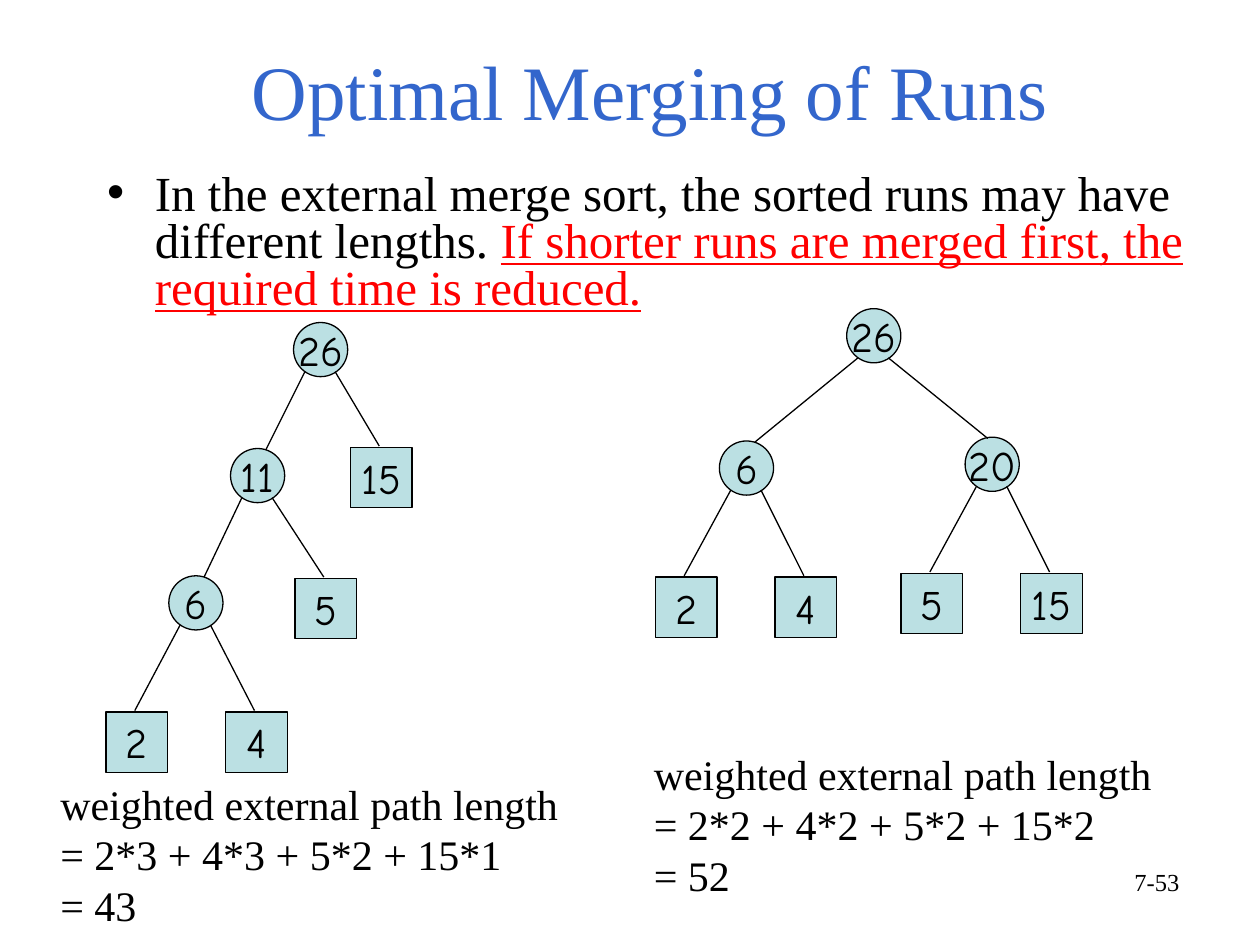
from dataclasses import dataclass
from typing import Optional

from lxml.etree import SubElement
from pptx import Presentation
from pptx.dml.color import RGBColor
from pptx.enum.shapes import MSO_CONNECTOR, MSO_SHAPE
from pptx.enum.text import MSO_ANCHOR, MSO_AUTO_SIZE, PP_ALIGN
from pptx.oxml.ns import qn
from pptx.util import Inches, Pt


@dataclass(frozen=True)
class Theme:
    serif: str = "Times New Roman"
    node_font: str = "Comic Neue"
    black: RGBColor = RGBColor(0x00, 0x00, 0x00)
    blue: RGBColor = RGBColor(0x33, 0x66, 0xCC)
    red: RGBColor = RGBColor(0xFF, 0x00, 0x00)
    node_fill: RGBColor = RGBColor(0xBB, 0xE0, 0xE3)
    title_size: float = 44
    body_size: float = 28
    text_size: float = 24
    number_size: float = 14
    line_width: float = 0.75


@dataclass(frozen=True)
class Node:
    """A merged run with two children, or a single run without any."""
    weight: int
    left: float
    top: float
    first: Optional["Node"] = None
    second: Optional["Node"] = None

    @property
    def is_leaf(self) -> bool:
        return self.first is None


@dataclass(frozen=True)
class Note:
    text: str
    left: float
    top: float
    width: float
    height: float
    size: float
    align: PP_ALIGN = PP_ALIGN.LEFT


THEME = Theme()
CIRCLE = 0.43
LEAF_WIDTH, LEAF_HEIGHT = 0.49, 0.48

SKEWED_TREE = Node(
    26, 2.33, 2.56,
    Node(11, 1.83, 3.56,
         Node(6, 1.34, 4.57, Node(2, 0.84, 5.65), Node(4, 1.79, 5.65)),
         Node(5, 2.34, 4.59)),
    Node(15, 2.78, 3.55))
BALANCED_TREE = Node(
    26, 6.72, 2.45,
    Node(6, 5.71, 3.5, Node(2, 5.2, 4.58), Node(4, 6.15, 4.58)),
    Node(20, 7.66, 3.47, Node(5, 7.15, 4.55), Node(15, 8.1, 4.55)))

NOTES = (
    Note("weighted external path length = 2*3 + 4*3 + 5*2 + 15*1\v= 43",
         0.38, 6.13, 4.15, 1.3, THEME.text_size),
    Note("weighted external path length\v= 2*2 + 4*2 + 5*2 + 15*2\v= 52",
         5.09, 5.89, 4.49, 1.3, THEME.text_size),
    Note("7-53", 7.13, 6.83, 2.33, 0.52, THEME.number_size, PP_ALIGN.RIGHT),
)


def format_span(span, size: float, color: RGBColor = THEME.black,
                name: str = THEME.serif, underline: bool = False) -> None:
    values = {"size": Pt(size), "name": name, "underline": underline}
    for attribute, value in values.items():
        setattr(span.font, attribute, value)
    span.font.color.rgb = color


def place(box, left: float, top: float, width: float, height: float) -> None:
    values = {"left": left, "top": top, "width": width, "height": height}
    for attribute, value in values.items():
        setattr(box, attribute, Inches(value))


def draw_node(shapes, node: Node) -> None:
    if node.is_leaf:
        kind, width, height = MSO_SHAPE.RECTANGLE, LEAF_WIDTH, LEAF_HEIGHT
    else:
        kind, width, height = MSO_SHAPE.OVAL, CIRCLE, CIRCLE
    box = shapes.add_shape(kind, Inches(node.left), Inches(node.top),
                           Inches(width), Inches(height))
    box.shadow.inherit = False
    box.fill.solid()
    box.fill.fore_color.rgb = THEME.node_fill
    box.line.color.rgb = THEME.black
    box.line.width = Pt(THEME.line_width)
    frame = box.text_frame
    frame.word_wrap = False
    frame.vertical_anchor = MSO_ANCHOR.MIDDLE
    para = frame.paragraphs[0]
    para.alignment = PP_ALIGN.CENTER
    span = para.add_run()
    span.text = str(node.weight)
    format_span(span, THEME.text_size, name=THEME.node_font)


def draw_edge(shapes, parent: Node, child: Node, is_first: bool) -> None:
    """Join the lower side of a circle to the top of its child."""
    start_x = parent.left + (0.09 if is_first else 0.33)
    if child.is_leaf:
        end_x, end_y = child.left + 0.23, child.top - 0.01
    else:
        end_x = child.left + (0.28 if is_first else 0.18)
        end_y = child.top + 0.01
    edge = shapes.add_connector(
        MSO_CONNECTOR.STRAIGHT, Inches(start_x), Inches(parent.top + 0.39),
        Inches(end_x), Inches(end_y))
    edge.line.color.rgb = THEME.black
    edge.line.width = Pt(THEME.line_width)
    SubElement(edge._element.spPr, qn("a:effectLst"))


def draw_tree(shapes, node: Node) -> None:
    draw_node(shapes, node)
    for child in (node.first, node.second):
        if child is not None:
            draw_tree(shapes, child)
            draw_edge(shapes, node, child, child is node.first)


def draw_note(page, note: Note) -> None:
    box = page.shapes.add_textbox(Inches(note.left), Inches(note.top),
                                  Inches(note.width), Inches(note.height))
    box.text_frame.word_wrap = True
    para = box.text_frame.paragraphs[0]
    para.text = note.text
    para.alignment = note.align
    for span in para.runs:
        format_span(span, note.size)


def fill_title(page) -> None:
    title = page.shapes.title
    place(title, 0.75, 0.27, 8.82, 0.86)
    frame = title.text_frame
    frame.auto_size = MSO_AUTO_SIZE.NONE
    frame.vertical_anchor = MSO_ANCHOR.BOTTOM
    para = frame.paragraphs[0]
    para.alignment = PP_ALIGN.CENTER
    span = para.add_run()
    span.text = "Optimal Merging of Runs"
    format_span(span, THEME.title_size, THEME.blue)


def fill_body(page) -> None:
    body = page.placeholders[1]
    place(body, 0.75, 1.33, 8.84, 1.29)
    frame = body.text_frame
    frame.auto_size = MSO_AUTO_SIZE.NONE
    para = frame.paragraphs[0]
    para.line_spacing = 0.8
    para.space_before = Pt(0)
    properties = para._p.get_or_add_pPr()
    properties.set("marL", str(Inches(0.38)))
    properties.set("indent", str(Inches(-0.38)))
    bullet_color = SubElement(properties, qn("a:buClr"))
    SubElement(bullet_color, qn("a:srgbClr"), val=str(THEME.black))
    SubElement(properties, qn("a:buChar"), char="•")
    plain = para.add_run()
    plain.text = ("In the external merge sort, the sorted runs may have "
                  "different lengths. ")
    format_span(plain, THEME.body_size)
    stressed = para.add_run()
    stressed.text = ("If shorter runs are merged first, the required time "
                     "is reduced.")
    format_span(stressed, THEME.body_size, THEME.red, underline=True)


def main() -> None:
    deck = Presentation()
    deck.slide_width, deck.slide_height = Inches(10), Inches(7.5)
    page = deck.slides.add_slide(deck.slide_layouts[1])
    fill_title(page)
    fill_body(page)
    for tree in (SKEWED_TREE, BALANCED_TREE):
        draw_tree(page.shapes.add_group_shape().shapes, tree)
    for note in NOTES:
        draw_note(page, note)
    deck.save("out.pptx")


if __name__ == "__main__":
    main()
